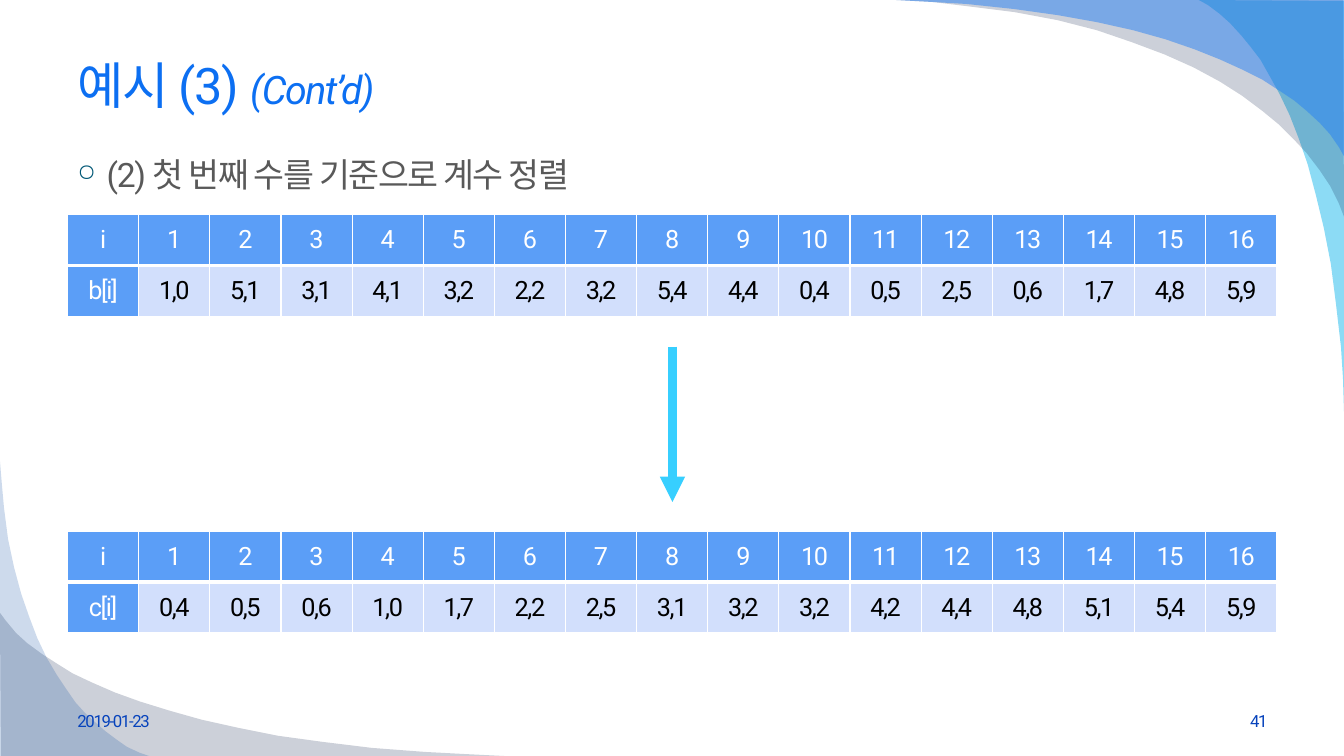
from pptx import Presentation
from pptx.dml.color import RGBColor
from pptx.enum.shapes import MSO_CONNECTOR
from pptx.enum.text import MSO_ANCHOR, PP_ALIGN
from pptx.oxml.ns import qn
from pptx.oxml.xmlchemy import OxmlElement
from pptx.util import Inches, Pt

LEFT, CENTER, RIGHT = PP_ALIGN.LEFT, PP_ALIGN.CENTER, PP_ALIGN.RIGHT
TOP, MIDDLE = MSO_ANCHOR.TOP, MSO_ANCHOR.MIDDLE
STRAIGHT = MSO_CONNECTOR.STRAIGHT
FONT = "Roboto"


def color(code):
    return RGBColor.from_string(code)


def write(para, text, size, ink, align=LEFT, italic=False):
    para.alignment = align
    span = para.add_run()
    span.text = text
    span.font.name = FONT
    span.font.size = Pt(size)
    span.font.italic = italic
    span.font.color.rgb = color(ink)
    span.font._element.set("spc", "-100")


deck = Presentation()
deck.slide_width, deck.slide_height = Inches(13.33), Inches(7.5)
page = deck.slides.add_slide(deck.slide_layouts[6])

swooshes = [
    ("00B1E9", 45, [
        (13.33, 4.08), (13.33, 0.01), (11.89, 0), (11.98, 0.05), (12.1, 0.14),
        (12.2, 0.23), (12.31, 0.35), (12.4, 0.46), (12.5, 0.59), (12.59, 0.75),
        (12.69, 0.93), (12.79, 1.14), (12.88, 1.37), (12.97, 1.63),
        (13.05, 1.93), (13.13, 2.26), (13.2, 2.62), (13.25, 3.01),
        (13.3, 3.44), (13.32, 3.75)]),
    ("021741", 20, [
        (8.89, 0), (13.32, 0), (13.33, 2.15), (13.28, 2.02), (13.19, 1.84),
        (13.09, 1.69), (12.96, 1.52), (12.83, 1.38), (12.69, 1.24),
        (12.52, 1.1), (12.32, 0.95), (12.1, 0.81), (11.84, 0.67),
        (11.55, 0.54), (11.23, 0.42), (10.88, 0.3), (10.49, 0.2),
        (10.06, 0.12), (9.58, 0.06), (9.25, 0.02)]),
    ("247FF4", 49, [
        (8.89, 0), (13.33, 0), (13.33, 1.55), (13.28, 1.46), (13.19, 1.33),
        (13.09, 1.22), (12.96, 1.1), (12.84, 1), (12.69, 0.9), (12.52, 0.79),
        (12.32, 0.69), (12.1, 0.59), (11.85, 0.49), (11.56, 0.39),
        (11.24, 0.3), (10.88, 0.22), (10.49, 0.15), (10.06, 0.09),
        (9.59, 0.04), (9.25, 0.02)]),
    ("021741", 20, [
        (5, 7.5), (0.01, 7.5), (0, 6.08), (0.06, 6.16), (0.16, 6.28),
        (0.27, 6.38), (0.42, 6.49), (0.56, 6.58), (0.72, 6.68), (0.91, 6.77),
        (1.14, 6.87), (1.39, 6.96), (1.68, 7.05), (2, 7.14), (2.36, 7.22),
        (2.76, 7.3), (3.2, 7.36), (3.69, 7.42), (4.22, 7.46), (4.6, 7.48)]),
    ("084AA1", 20, [
        (0, 4.58), (0, 7.5), (1.48, 7.5), (1.39, 7.47), (1.26, 7.41),
        (1.16, 7.34), (1.04, 7.25), (0.95, 7.17), (0.85, 7.08), (0.75, 6.97),
        (0.66, 6.84), (0.56, 6.69), (0.46, 6.52), (0.37, 6.33), (0.29, 6.12),
        (0.21, 5.89), (0.14, 5.63), (0.08, 5.35), (0.04, 5.04), (0.02, 4.82)]),
]
for tint, opacity, outline in swooshes:
    points = [(Inches(x), Inches(y)) for x, y in outline]
    builder = page.shapes.build_freeform(*points[0])
    builder.add_line_segments(points[1:], close=True)
    swoosh = builder.convert_to_shape()
    swoosh.shadow.inherit = False
    swoosh.fill.solid()
    swoosh.fill.fore_color.rgb = color(tint)
    swoosh.line.fill.background()
    alpha = OxmlElement("a:alpha")
    alpha.set("val", str(opacity * 1000))
    swoosh.element.spPr.find(qn("a:solidFill"))[0].append(alpha)

texts = [
    (0.67, 0.33, 12, 1.01, MIDDLE, LEFT, "0C6FF2",
     [("예시 (3) ", 36, False), ("(Cont’d)", 28, True)]),
    (0.67, 1.48, 12, 5.22, TOP, LEFT, "595959",
     [("(2) 첫 번째 수를 기준으로 계수 정렬", 24, False)]),
    (0.67, 6.95, 3.11, 0.4, MIDDLE, LEFT, "0743BC", [("2019-01-23", 12, False)]),
    (9.56, 6.95, 3.11, 0.4, MIDDLE, RIGHT, "0743BC", [("41", 12, False)]),
]
for left, top, width, height, anchor, align, ink, spans in texts:
    box = page.shapes.add_textbox(Inches(left), Inches(top), Inches(width), Inches(height))
    box.text_frame.word_wrap = True
    box.text_frame.vertical_anchor = anchor
    para = box.text_frame.paragraphs[0]
    if anchor == TOP:
        layout = para._p.get_or_add_pPr()
        layout.set("marL", str(Inches(0.29)))
        layout.set("indent", str(-Inches(0.29)))
        bullet_color = OxmlElement("a:buClr")
        bullet_rgb = OxmlElement("a:srgbClr")
        bullet_rgb.set("val", "005876")
        bullet_color.append(bullet_rgb)
        bullet_size = OxmlElement("a:buSzPct")
        bullet_size.set("val", "70000")
        bullet = OxmlElement("a:buChar")
        bullet.set("char", "○")
        layout.extend([bullet_color, bullet_size, bullet])
    for text, size, italic in spans:
        write(para, text, size, ink, align, italic)

arrays = [
    (5.27, "c[i] 0,4 0,5 0,6 1,0 1,7 2,2 2,5 3,1 3,2 3,2 4,2 4,4 4,8 5,1 5,4 5,9"),
    (2.13, "b[i] 1,0 5,1 3,1 4,1 3,2 2,2 3,2 5,4 4,4 0,4 0,5 2,5 0,6 1,7 4,8 5,9"),
]
indexes = ["i"] + [str(number) for number in range(1, 17)]
for top, values in arrays:
    rows = [indexes, values.split()]
    table = page.shapes.add_table(
        2, len(indexes), Inches(0.67), Inches(top), Inches(12), Inches(1.01)).table
    table.first_row = table.horz_banding = False
    for column in table.columns:
        column.width = Inches(12 / len(indexes))
    for row, entries in enumerate(rows):
        for col, entry in enumerate(entries):
            heading = row == 0 or col == 0
            cell = table.cell(row, col)
            cell.vertical_anchor = MIDDLE
            write(cell.text_frame.paragraphs[0], entry, 18,
                  "FFFFFF" if heading else "000000", CENTER)
            thick_edge = "a:lnB" if row == 0 else "a:lnT"
            for edge in ("a:lnL", "a:lnR", "a:lnT", "a:lnB"):
                border = OxmlElement(edge)
                border.set("w", str(Pt(3 if edge == thick_edge else 1)))
                border_fill = OxmlElement("a:solidFill")
                border_rgb = OxmlElement("a:srgbClr")
                border_rgb.set("val", "FFFFFF")
                border_fill.append(border_rgb)
                border.append(border_fill)
                cell._tc.get_or_add_tcPr().append(border)
            cell.fill.solid()
            cell.fill.fore_color.rgb = color("5B9EF7" if heading else "D2DFFC")

arrow = page.shapes.add_connector(
    STRAIGHT, Inches(6.67), Inches(3.44), Inches(6.67), Inches(4.98))
arrow.line.color.rgb = color("37CFFF")
arrow.line.width = Pt(6)
arrowhead = OxmlElement("a:tailEnd")
arrowhead.set("type", "triangle")
arrow.line._get_or_add_ln().append(arrowhead)
arrow.element.spPr.append(OxmlElement("a:effectLst"))

deck.save("out.pptx")
